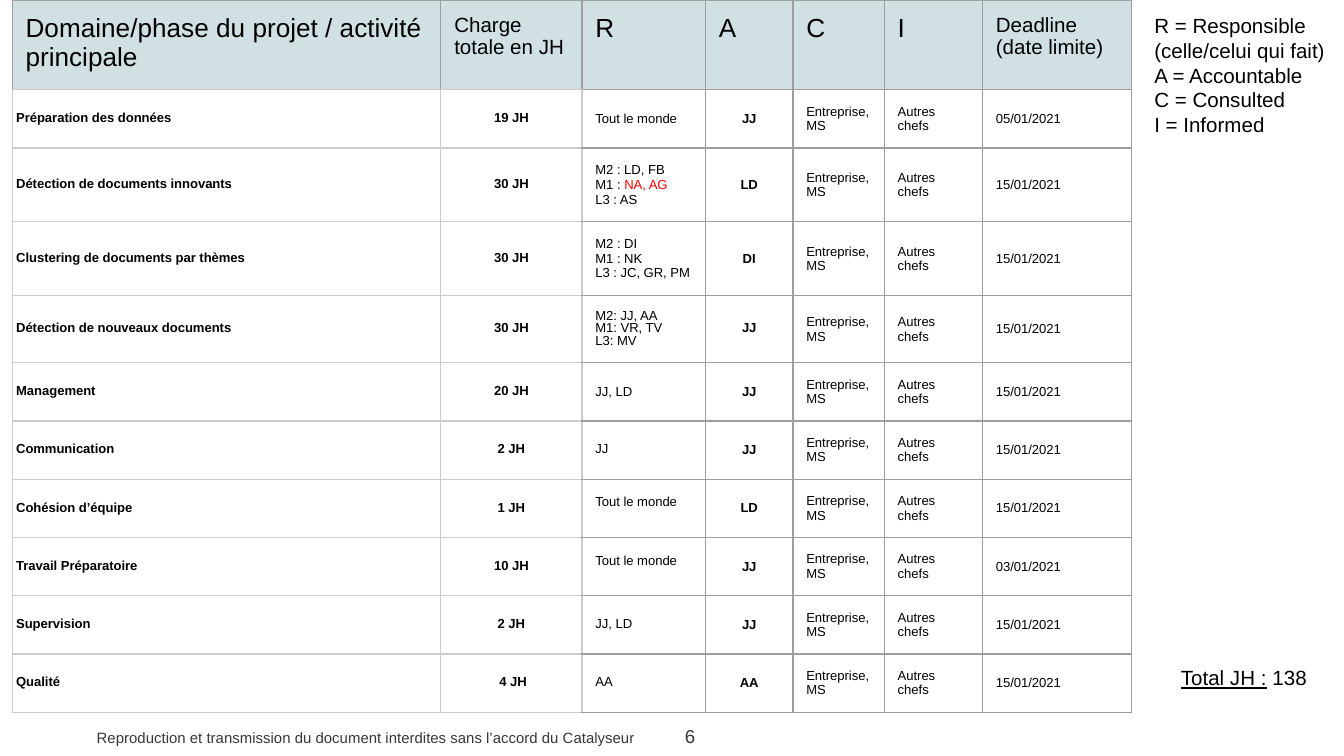
import dataclasses
import typing

import pptx
import pptx.dml.color
import pptx.enum.shapes
import pptx.enum.text
import pptx.oxml
import pptx.oxml.ns
import pptx.util

Inches = pptx.util.Inches
Align = pptx.enum.text.PP_ALIGN
Anchor = pptx.enum.text.MSO_ANCHOR


@dataclasses.dataclass(frozen=True)
class Theme:
    font: str = "Arial"
    ink: str = "000000"
    footer_ink: str = "373736"
    alert: str = "FF0000"
    paper: str = "FFFFFF"
    header_fill: str = "D0E0E3"
    dark_border: str = "9E9E9E"
    light_border: str = "CCCCCC"
    border_width: float = 0.75
    title_size: float = 14
    label_size: float = 11
    number_size: float = 10
    footer_size: float = 8
    body_size: float = 7
    tight: float = 0.85


THEME = Theme()


@dataclasses.dataclass(frozen=True)
class TextStyle:
    size: float
    bold: bool = False
    color: str = THEME.ink
    align: Align = Align.LEFT
    spacing: typing.Optional[float] = None


@dataclasses.dataclass(frozen=True)
class Activity:
    name: str
    workload: str
    responsible: str
    accountable: str
    height: float
    deadline: str = "15/01/2021"
    responsible_spacing: typing.Optional[float] = None
    accountable_spacing: typing.Optional[float] = None
    alert: str = ""
    lift: float = 0


@dataclasses.dataclass(frozen=True)
class Note:
    text: str
    box: tuple[float, float, float, float]
    style: TextStyle
    insets: tuple[float, float] = (0.09, 0.04)
    anchor: Anchor = Anchor.TOP
    filled: bool = False
    underlined: str = ""


# Content
HEADERS = [("Domaine/phase du projet / activité principale", THEME.title_size),
           ("Charge totale en JH", THEME.label_size),
           *((letter, THEME.title_size) for letter in "RACI"),
           ("Deadline (date limite)", THEME.label_size)]
COLUMN_WIDTHS = [3.19, 1.05, 0.92, 0.65, 0.68, 0.73, 1.11]
HEADER_HEIGHT = 0.42
FRAME_SIZE = 3.28  # smaller than the rows, so that they keep their own heights
ACTIVITIES = [
    Activity("Préparation des données", "19 JH", "Tout le monde", "JJ", 0.41, "05/01/2021"),
    Activity("Détection de documents innovants", "30 JH",
             "M2 : LD, FB\nM1 : NA, AG\nL3 : AS", "LD", 0.42, alert="NA, AG"),
    Activity("Clustering de documents par thèmes", "30 JH",
             "M2 : DI\nM1 : NK\nL3 : JC, GR, PM", "DI", 0.42),
    Activity("Détection de nouveaux documents", "30 JH",
             "M2: JJ, AA\nM1: VR, TV\nL3: MV", "JJ", 0.42,
             responsible_spacing=THEME.tight, accountable_spacing=THEME.tight),
    Activity("Management", "20 JH", "JJ, LD", "JJ", 0.42),
    Activity("Communication", "2 JH", "JJ", "JJ", 0.42, responsible_spacing=THEME.tight),
    Activity("Cohésion d’équipe", "1 JH", "Tout le monde", "LD", 0.43, lift=0.09),
    Activity("Travail Préparatoire", "10 JH", "Tout le monde", "JJ", 0.43, "03/01/2021", lift=0.09),
    Activity("Supervision", "2 JH", "JJ, LD", "JJ", 0.43, responsible_spacing=THEME.tight),
    Activity("Qualité", " 4 JH", "AA", "AA", 0.43, responsible_spacing=THEME.tight),
]
FOOTERS = [
    Note("6", (4.01, 5.33, 2.25, 0.3),
         TextStyle(THEME.number_size, color=THEME.footer_ink, align=Align.CENTER),
         anchor=Anchor.MIDDLE),
    Note("Reproduction et transmission du document interdites sans l’accord du Catalyseur",
         (0.63, 5.38, 4.44, 0.19), TextStyle(THEME.footer_size, color=THEME.footer_ink)),
]
SIDE_NOTES = [
    Note("R = Responsible (celle/celui qui fait)\nA = Accountable\nC = Consulted\nI = Informed",
         (8.49, 0, 1.53, 1.1), TextStyle(THEME.label_size), (0.1, 0.1), filled=True),
    Note("Total JH : 138", (8.58, 4.85, 1.35, 0.35),
         TextStyle(THEME.label_size, align=Align.CENTER),
         (0.1, 0.1), filled=True, underlined="Total JH :"),
]


def rgb(value: str) -> pptx.dml.color.RGBColor:
    return pptx.dml.color.RGBColor.from_string(value)


def write_text(text_frame, text: str, style: TextStyle) -> None:
    text_frame.text = text
    for paragraph in text_frame.paragraphs:
        paragraph.alignment = style.align
        paragraph.line_spacing = style.spacing
        for run in paragraph.runs:
            format_run(run, style)


def format_run(run, style: TextStyle) -> None:
    run.font.name = THEME.font
    run.font.size = pptx.util.Pt(style.size)
    run.font.bold = style.bold
    run.font.color.rgb = rgb(style.color)


def split_run(paragraph, part: str, style: TextStyle):
    """Give the given part its own run, and return that run."""
    before, part, after = paragraph.text.partition(part)
    paragraph.text = before
    pieces = [paragraph.add_run() for _ in range(2 if after else 1)]
    for run, text in zip(pieces, (part, after)):
        run.text = text
    for run in paragraph.runs:
        format_run(run, style)
    return pieces[0]


def set_borders(cell, left: str, right: str, top: str, bottom: str) -> None:
    properties = cell._tc.get_or_add_tcPr()
    width = pptx.util.Pt(THEME.border_width)
    for index, (side, color) in enumerate(zip("LRTB", (left, right, top, bottom))):
        properties.insert(index, pptx.oxml.parse_xml(
            f'<a:ln{side} {pptx.oxml.ns.nsdecls("a")} w="{width}"><a:solidFill>'
            f'<a:srgbClr val="{color}"/></a:solidFill></a:ln{side}>'))


def fill_cell(cell, text: str, style: TextStyle, fill: str, anchor: Anchor,
              insets: tuple[float, float] = (0.1, 0.1)) -> None:
    cell.margin_left = cell.margin_right = Inches(insets[0])
    cell.margin_top = cell.margin_bottom = Inches(insets[1])
    cell.vertical_anchor = anchor
    cell.fill.solid()
    cell.fill.fore_color.rgb = rgb(fill)
    write_text(cell.text_frame, text, style)


def draw_activity(table, row: int, activity: Activity) -> None:
    size, dark, light = THEME.body_size, THEME.dark_border, THEME.light_border
    plain = TextStyle(size)
    entries = [
        (activity.name, TextStyle(size, True, spacing=THEME.tight)),
        (activity.workload, TextStyle(size, True, align=Align.CENTER, spacing=THEME.tight)),
        (activity.responsible, TextStyle(size, spacing=activity.responsible_spacing)),
        (activity.accountable, TextStyle(size, True, align=Align.CENTER,
                                         spacing=activity.accountable_spacing)),
        ("Entreprise, MS", plain), ("Autres chefs", plain), (activity.deadline, plain)]
    for column, (text, style) in enumerate(entries):
        cell = table.cell(row, column)
        fill_cell(cell, text, style, THEME.paper, Anchor.MIDDLE,
                  (0.03, 0.02) if column < 2 else (0.1, 0.1))
        edge = light if column < 2 else dark
        set_borders(cell, light if column <= 2 else dark, edge, edge, edge)
    responsible = table.cell(row, 2)
    responsible.margin_bottom = Inches(0.1 + activity.lift)
    for paragraph in responsible.text_frame.paragraphs:
        if activity.alert and activity.alert in paragraph.text:
            split_run(paragraph, activity.alert, plain).font.color.rgb = rgb(THEME.alert)


def draw_table(slide) -> None:
    heights = [HEADER_HEIGHT, *(activity.height for activity in ACTIVITIES)]
    frame = slide.shapes.add_table(len(heights), len(COLUMN_WIDTHS), Inches(0.09), Inches(0),
                                   Inches(FRAME_SIZE), Inches(FRAME_SIZE))
    table = frame.table
    table.first_row = table.horz_banding = False
    for column, width in zip(table.columns, COLUMN_WIDTHS):
        column.width = Inches(width)
    for row, height in zip(table.rows, heights):
        row.height = Inches(height)
    frame.width = frame.height = Inches(FRAME_SIZE)
    dark = THEME.dark_border
    for column, (text, size) in enumerate(HEADERS):
        cell = table.cell(0, column)
        fill_cell(cell, text, TextStyle(size), THEME.header_fill, Anchor.TOP)
        set_borders(cell, dark, dark, dark, THEME.light_border if column < 2 else dark)
    for row, activity in enumerate(ACTIVITIES, start=1):
        draw_activity(table, row, activity)


def draw_note(slide, note: Note) -> None:
    box = [Inches(length) for length in note.box]
    if note.filled:
        shape = slide.shapes.add_shape(pptx.enum.shapes.MSO_SHAPE.RECTANGLE, *box)
        shape.shadow.inherit = False
        shape.fill.solid()
        shape.fill.fore_color.rgb = rgb(THEME.paper)
        shape.line.fill.background()
    else:
        shape = slide.shapes.add_textbox(*box)
    frame = shape.text_frame
    frame.word_wrap = True
    frame.vertical_anchor = note.anchor
    frame.margin_left = frame.margin_right = Inches(note.insets[0])
    frame.margin_top = frame.margin_bottom = Inches(note.insets[1])
    write_text(frame, note.text, note.style)
    if note.underlined:
        split_run(frame.paragraphs[0], note.underlined, note.style).font.underline = True


def main() -> None:
    presentation = pptx.Presentation()
    presentation.slide_width, presentation.slide_height = Inches(10), Inches(10 * 9 / 16)
    slide = presentation.slides.add_slide(presentation.slide_layouts[6])
    # Footer, responsibility matrix, then legend and total
    for note in FOOTERS:
        draw_note(slide, note)
    draw_table(slide)
    for note in SIDE_NOTES:
        draw_note(slide, note)
    presentation.save("out.pptx")


if __name__ == "__main__":
    main()
